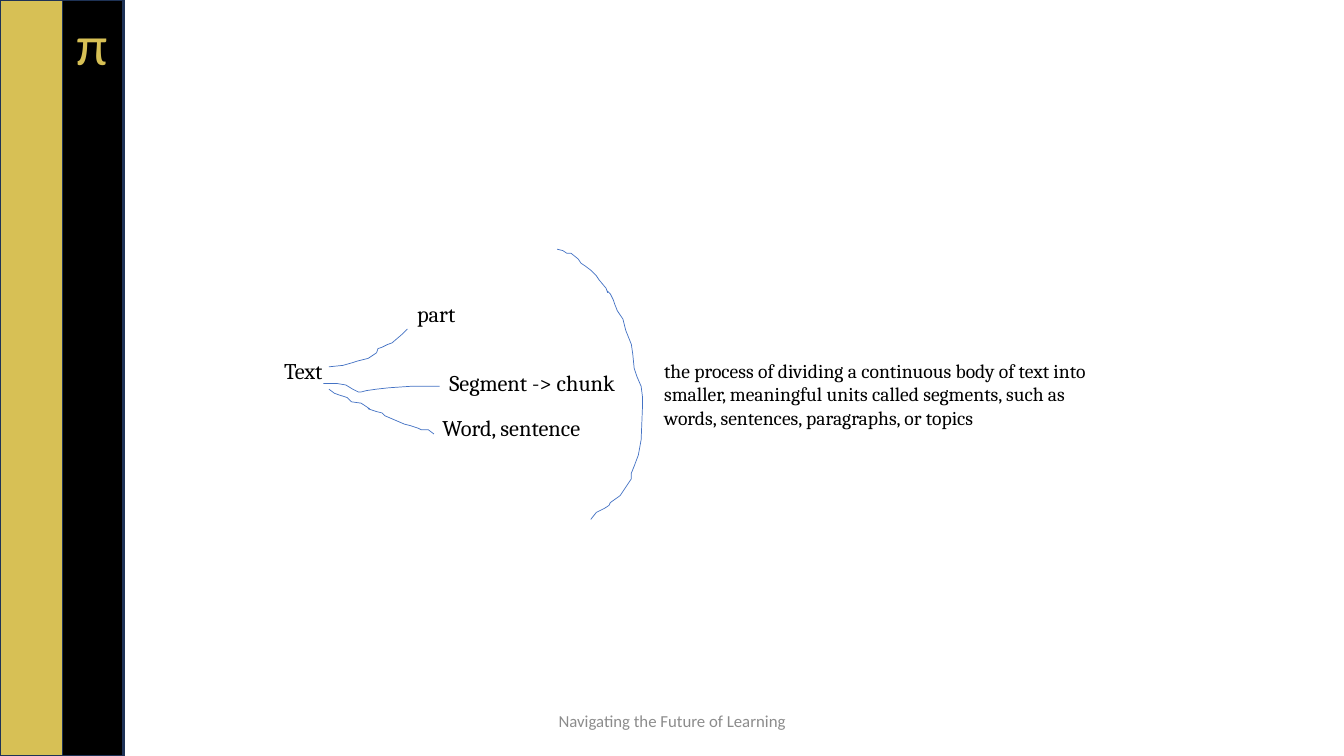
from pptx import Presentation
from pptx import util as u
from pptx.dml.color import RGBColor
from pptx.enum import shapes, text

COLORS = {"gold": "D7C055", "black": "000000", "navy": "1E3256",
          "gray": "8C8C8C", "ink": "4472C4"}

# Pen strokes, in points
PART_STROKE = [
    (235.4, 262.1), (244.8, 261), (252, 259.2), (254.9, 257.8), (262.8, 255.6),
    (268.6, 252), (269.6, 249.3), (272.9, 247.7), (277.2, 245.5),
    (280.1, 244.8), (286.6, 239), (290.9, 235.4)]
CHUNK_STROKE = [
    (231.1, 273.6), (237.6, 273.6), (241.2, 274.3), (247, 275), (251.5, 277.9),
    (255.6, 279.6), (258.5, 279.8), (262.1, 279.4), (268.8, 278.3),
    (277.9, 277.2), (293, 276.2), (313.9, 275.8)]
SENTENCE_STROKE = [
    (234.7, 277.9), (239, 280.8), (241.9, 282.2), (247.7, 284.4),
    (251.3, 286.6), (257.8, 288), (264, 292.3), (263.4, 292), (268.6, 293.8),
    (272.9, 295.2), (275, 297.4), (281.5, 299.5), (289.4, 303.1), (293, 303.8),
    (298.8, 306), (301, 306.7), (306, 307.4), (310.3, 309.6)]
BRACKET_STROKE = [
    (398.2, 177.8), (402.5, 178.6), (405.4, 180.7), (408.2, 181.4),
    (412.6, 185), (415.4, 187.9), (418.3, 190.1), (421.9, 193), (425.5, 197.3),
    (428.4, 200.2), (432.7, 205.9), (433.8, 209), (433.6, 207.6),
    (436.3, 210.2), (437.8, 213.8), (439.2, 216.7), (441.4, 222.5),
    (445, 227.5), (447.1, 236.2), (451.4, 245.5), (452.2, 253.4),
    (452.9, 262.8), (455, 268.6), (457.9, 275.8), (459, 284), (459.3, 289.4),
    (457.9, 313.9), (455.8, 324.7), (452.9, 333.4), (451.4, 338.4),
    (450.7, 342), (447.1, 348.5), (445, 350.6), (442.8, 353.5), (436.3, 358.6),
    (434.9, 361.4), (432, 362.9), (426.2, 366.5), (421.9, 370.8)]


class Deck:
    """Holds the style and the current slide."""

    def __init__(self, prs):
        self.s = prs.slides.add_slide(prs.slide_layouts[6])
        self.font = "Cambria"
        self.target = self.s.shapes

    def color(self, name):
        return RGBColor.from_string(COLORS[name])

    def outline(self, sp, color, width):
        sp.shadow.inherit = False
        sp.line.color.rgb = self.color(color)
        sp.line.width = u.Pt(width)

    def band(self, x, w, fill):
        sp = self.target.add_shape(shapes.MSO_SHAPE.RECTANGLE,
                                   u.Pt(x), u.Pt(0), u.Pt(w), u.Pt(540))
        sp.fill.solid()
        sp.fill.fore_color.rgb = self.color(fill)
        self.outline(sp, "navy", 1)

    def label(self, words, x, y, w, h, size=16, color="black", font=None,
              wrap=False, align=text.PP_ALIGN.LEFT, anchor=text.MSO_ANCHOR.TOP):
        sp = self.target.add_textbox(u.Pt(x), u.Pt(y), u.Pt(w), u.Pt(h))
        tf = sp.text_frame
        tf.text = words
        tf.word_wrap = wrap
        tf.vertical_anchor = anchor
        p = tf.paragraphs[0]
        p.alignment = align
        r = p.runs[0]
        r.font.name = font or self.font
        r.font.size = u.Pt(size)
        r.font.color.rgb = self.color(color)

    def stroke(self, points):
        fb = self.target.build_freeform(*points[0], scale=u.Pt(1))
        fb.add_line_segments(points[1:], close=False)
        sp = fb.convert_to_shape()
        sp.fill.background()
        self.outline(sp, "ink", 0.5)

    def group(self):
        self.target = self.s.shapes.add_group_shape().shapes


def main():
    prs = Presentation()
    prs.slide_width, prs.slide_height = u.Pt(960), u.Pt(540)
    deck = Deck(prs)

    # Side bands and footer
    deck.band(0, 88.6, "gold")
    deck.band(44.8, 43.2, "black")
    deck.label("π", 47.5, 3.6, 34.6, 55.4, 40, "gold", "Calibri", wrap=True)
    deck.label("Navigating the Future of Learning", 318.2, 500.4, 324, 28.8,
               12, "gray", "Calibri", wrap=True, align=text.PP_ALIGN.CENTER,
               anchor=text.MSO_ANCHOR.MIDDLE)

    # Sketch: text branching into its units
    deck.group()
    for words, x, y, w in [("Text", 195.8, 251.3, 44.6),
                           ("part", 290.9, 211, 43.9),
                           ("Segment -> chunk", 313.9, 259.9, 141.1),
                           ("Word, sentence", 308.9, 292.3, 120.2)]:
        deck.label(words, x, y, w, 26.6)
    for points in (PART_STROKE, CHUNK_STROKE, SENTENCE_STROKE, BRACKET_STROKE):
        deck.stroke(points)

    # Definition
    deck.label("the process of dividing a continuous body of text into smaller, "
               "meaningful units called segments, such as words, sentences, "
               "paragraphs, or topics", 467.3, 252.7, 320.4, 58.3, 14, wrap=True)

    prs.save("out.pptx")


if __name__ == "__main__":
    main()
